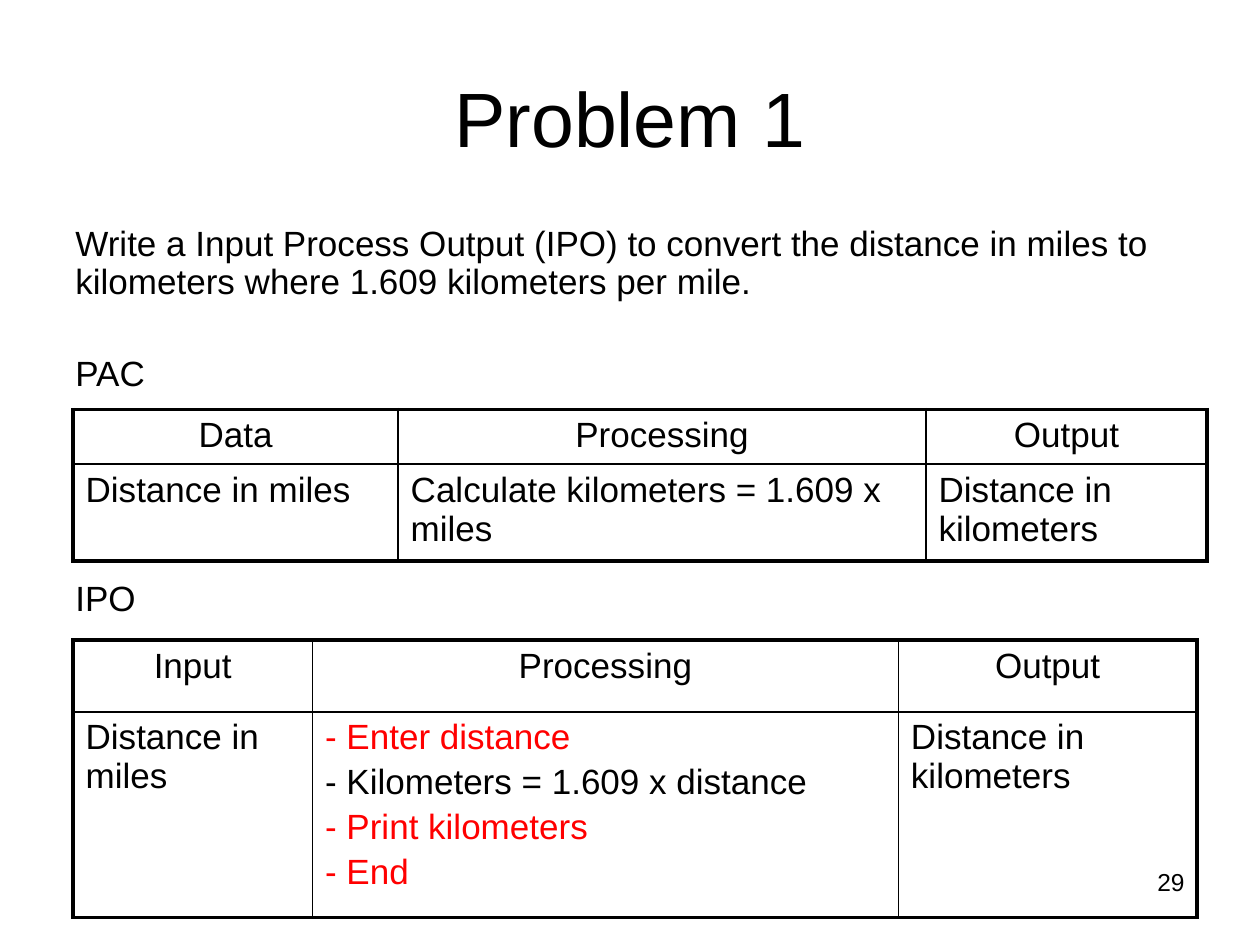
import pptx
import pptx.enum.text
import pptx.oxml.ns
import pptx.util
from lxml import etree

ALIGN = pptx.enum.text.PP_ALIGN
ANCHOR = pptx.enum.text.MSO_ANCHOR
POINT = pptx.util.Pt

THEME = {
    "font": "Arial",
    "black": "000000",
    "red": "FF0000",
    "title": 44,
    "body": 20,
    "number": 14,
    "outer_line": 2.25,
    "inner_line": 1,
    "cell_gap": 3.4,
}

COLUMNS, ROWS = 100, 75
UNIT = pptx.util.Inches(10) // COLUMNS

TITLE = [("Problem 1", {"size": "title", "align": ALIGN.CENTER})]
BODY = [
    ("Write a Input Process Output (IPO) to convert the distance in miles to "
     "kilometers where 1.609 kilometers per mile.", {"spacing": 0.9}),
    ("PAC", {"spacing": 0.9, "before": 30.7}),
    ("IPO", {"spacing": 0.9, "before": 107.3}),
]
NUMBER = [("29", {"size": "number", "align": ALIGN.RIGHT})]

TEXTS = [
    (TITLE, (5, 3, 90, 12.5), ANCHOR.MIDDLE),
    (BODY, (5, 17.5, 90, 49.5), ANCHOR.TOP),
    (NUMBER, (71.7, 68.3, 23.3, 5.2), ANCHOR.TOP),
]

TABLES = [
    {
        "corner": (5.8, 32.5),
        "columns": (25.8, 41.9, 22.3),
        "rows": (4.3, 7.7),
        "header": ("Data", "Processing", "Output"),
        "content": (
            [("Distance in miles", "black")],
            [("Calculate kilometers = 1.609 x miles", "black")],
            [("Distance in kilometers", "black")],
        ),
    },
    {
        "corner": (5.8, 50.8),
        "columns": (19, 46.5, 23.7),
        "rows": (5.7, 16.3),
        "header": ("Input", "Processing", "Output"),
        "content": (
            [("Distance in miles", "black")],
            [
                ("- Enter distance", "red"),
                ("- Kilometers = 1.609 x distance", "black"),
                ("- Print kilometers", "red"),
                ("- End", "red"),
            ],
            [("Distance in kilometers", "black")],
        ),
    },
]


def grid(*values):
    return [round(value * UNIT) for value in values]


def set_attributes(target, values):
    for name, value in values.items():
        setattr(target, name, value)


def write(frame, paragraphs):
    for index, (text, style) in enumerate(paragraphs):
        paragraph = frame.paragraphs[0] if index == 0 else frame.add_paragraph()
        run = paragraph.add_run()
        run.text = text
        set_attributes(paragraph, {
            "alignment": style.get("align", ALIGN.LEFT),
            "line_spacing": style.get("spacing", 1.0),
            "space_before": POINT(style.get("before", 0)),
        })
        set_attributes(run.font, {
            "name": THEME["font"],
            "size": POINT(THEME[style.get("size", "body")]),
        })
        color = THEME[style.get("color", "black")]
        run.font.color.rgb = pptx.dml.color.RGBColor.from_string(color)


def add_text(slide, paragraphs, place, anchor):
    frame = slide.shapes.add_textbox(*grid(*place)).text_frame
    set_attributes(frame, {"word_wrap": True, "vertical_anchor": anchor})
    write(frame, paragraphs)


def add_borders(cell, outer_sides):
    properties = cell._tc.get_or_add_tcPr()
    for side in "LRTB":
        width = THEME["outer_line" if outer_sides[side] else "inner_line"]
        line = etree.SubElement(properties, pptx.oxml.ns.qn(f"a:ln{side}"), w=str(POINT(width)))
        fill = etree.SubElement(line, pptx.oxml.ns.qn("a:solidFill"))
        etree.SubElement(fill, pptx.oxml.ns.qn("a:srgbClr"), val=THEME["black"])


def add_table(slide, data):
    columns, rows = data["columns"], data["rows"]
    place = grid(*data["corner"], sum(columns), sum(rows))
    table = slide.shapes.add_table(len(rows), len(columns), *place).table
    set_attributes(table, {"first_row": False, "horz_banding": False})
    for column, width in zip(table.columns, grid(*columns)):
        column.width = width
    for row, height in zip(table.rows, grid(*rows)):
        row.height = height

    header = [[(text, {"align": ALIGN.CENTER})] for text in data["header"]]
    content = [
        [(text, {"color": color, "before": THEME["cell_gap"] if index else 0})
         for index, (text, color) in enumerate(lines)]
        for lines in data["content"]
    ]
    for row_index, cells in enumerate((header, content)):
        for column_index, paragraphs in enumerate(cells):
            cell = table.cell(row_index, column_index)
            write(cell.text_frame, paragraphs)
            add_borders(cell, {
                "L": column_index == 0,
                "R": column_index == len(columns) - 1,
                "T": row_index == 0,
                "B": row_index == len(rows) - 1,
            })
            cell.fill.background()


def main():
    presentation = pptx.Presentation()
    set_attributes(presentation, {
        "slide_width": COLUMNS * UNIT,
        "slide_height": ROWS * UNIT,
    })
    slide = presentation.slides.add_slide(presentation.slide_layouts[6])
    for text in TEXTS:
        add_text(slide, *text)
    for data in TABLES:
        add_table(slide, data)
    presentation.save("out.pptx")


if __name__ == "__main__":
    main()
